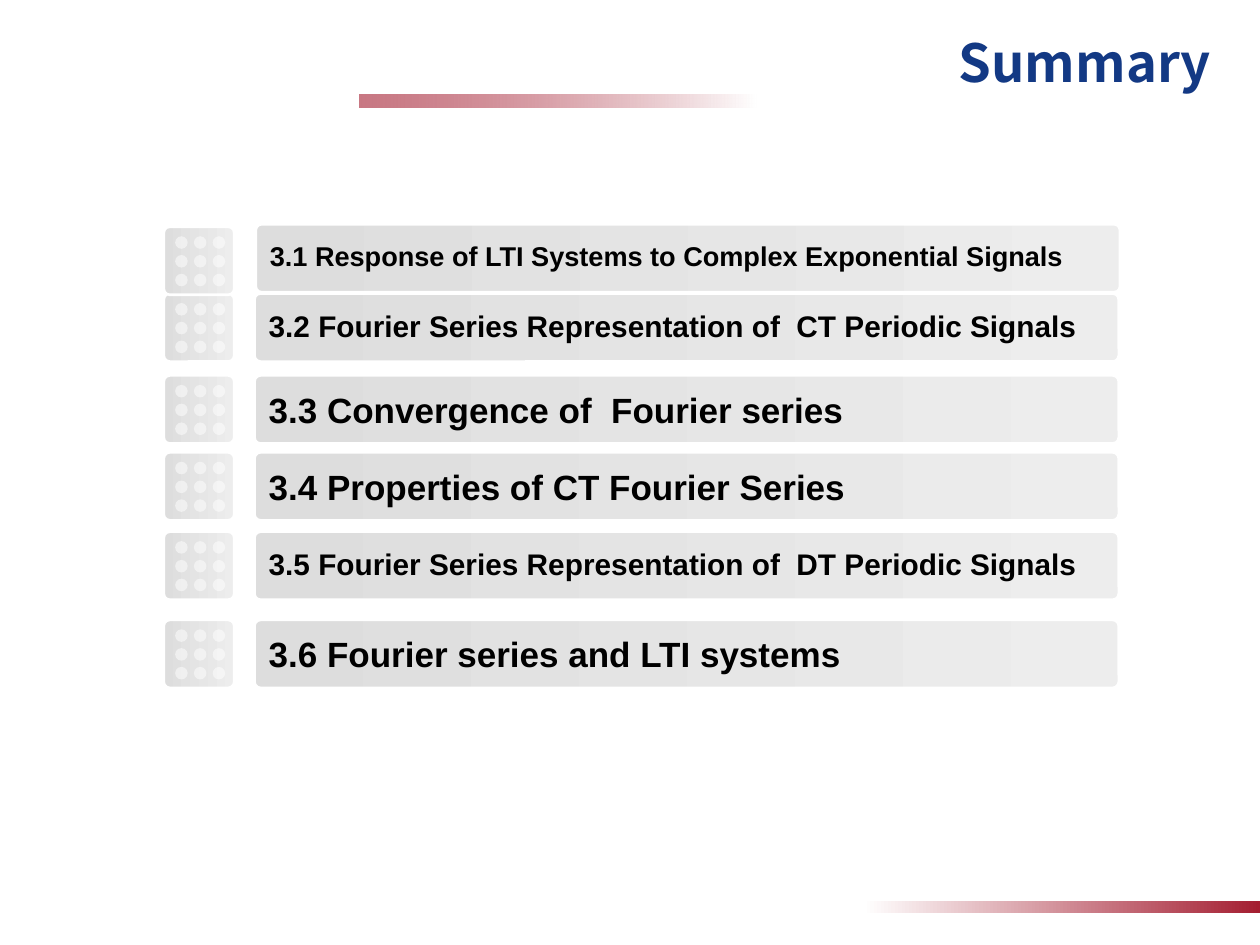
from itertools import product

from lxml.etree import SubElement
from pptx import Presentation
from pptx.dml.color import RGBColor
from pptx.enum.shapes import MSO_SHAPE
from pptx.enum.text import MSO_ANCHOR, PP_ALIGN
from pptx.oxml.ns import qn
from pptx.util import Inches, Pt

COLORS = {"title": "133984", "accent": "A41E31", "white": "FFFFFF",
          "panel_start": "DDDDDD", "panel_end": "EDEDED", "text": "000000"}
COLUMNS, ROWS = 100, 75
TILE_LEFT, TILE_WIDTH, PANEL_WIDTH, PANEL_HEIGHT = 13, 5.6, 68.6, 5.4
DOT_SIZE, DOT_STEP, DOT_INSET = 1, 1.49, (0.9, 0.75)
TOPICS = [
    ("3.6 Fourier series and LTI systems", 20, 1, 49.2, 20.2, 49.2),
    ("3.5 Fourier Series Representation of  DT Periodic Signals", 17, 0.9, 42.2, 20.2, 42.2),
    ("3.4 Properties of CT Fourier Series", 20, 1, 35.9, 20.2, 35.9),
    ("3.3 Convergence of  Fourier series", 20, 1, 29.8, 20.2, 29.8),
    ("3.2 Fourier Series Representation of  CT Periodic Signals", 17, 0.9, 23.3, 20.2, 23.3),
    ("3.1 Response of LTI Systems to Complex Exponential Signals", 15.5, 0.8, 18, 20.3, 17.8),
]


class SummarySlide:
    """Holds the style and the current page, and draws each kind of element."""

    def __init__(self, deck):
        self.column = deck.slide_width / COLUMNS
        self.row = deck.slide_height / ROWS
        self.page = deck.slides.add_slide(deck.slide_layouts[6])

    def place(self, left, top, width, height):
        return (round(left * self.column), round(top * self.row),
                round(width * self.column), round(height * self.row))

    def color(self, name):
        return RGBColor.from_string(COLORS[name])

    def shape(self, parent, kind, area):
        shape = parent.add_shape(kind, *self.place(*area))
        shape.shadow.inherit = False
        shape.line.fill.background()
        return shape

    def gradient(self, shape, *names):
        shape.fill.gradient()
        shape.fill.gradient_angle = 0
        for stop, name in zip(shape.fill.gradient_stops, names):
            stop.color.rgb = self.color(name)

    def opacity(self, shape, percent):
        color = next(shape.element.iter(qn("a:srgbClr")))
        SubElement(color, qn("a:alpha")).set("val", str(percent * 1000))

    def bar(self, area, *names):
        bar = self.shape(self.page.shapes, MSO_SHAPE.RECTANGLE, area)
        self.gradient(bar, *names)
        return bar

    def panel(self, area):
        panel = self.shape(self.page.shapes, MSO_SHAPE.ROUNDED_RECTANGLE, area)
        panel.adjustments[0] = 0.09
        self.gradient(panel, "panel_start", "panel_end")
        panel.line.color.rgb = self.color("white")
        panel.line.width = Pt(1.5)
        return panel

    def dots(self, left, top):
        group = self.page.shapes.add_group_shape()
        for row, column in product(range(3), repeat=2):
            area = (left + column * DOT_STEP, top + row * DOT_STEP, DOT_SIZE, DOT_SIZE)
            dot = self.shape(group.shapes, MSO_SHAPE.OVAL, area)
            dot.fill.solid()
            dot.fill.fore_color.rgb = self.color("white")
            self.opacity(dot, 50)

    def label(self, box, text, size, font, color, align, anchor, insets, spacing=1):
        frame = box.text_frame
        frame.word_wrap = True
        frame.vertical_anchor = anchor
        (frame.margin_left, frame.margin_top,
         frame.margin_right, frame.margin_bottom) = map(Inches, insets)
        para = frame.paragraphs[0]
        para.alignment = align
        if spacing != 1:
            para.line_spacing = spacing
        span = para.add_run()
        span.text = text
        span.font.size = Pt(size)
        span.font.name = font
        span.font.bold = True
        span.font.color.rgb = self.color(color)

    def title(self, text):
        box = self.page.shapes.add_textbox(*self.place(0, 2, 100, 7.5))
        self.label(box, text, 30, "Noto Sans CJK SC", "title", PP_ALIGN.RIGHT,
                   MSO_ANCHOR.TOP, (1.97, 0.04, 0.39, 0.05))

    def topic(self, text, size, spacing, tile_top, left, top):
        self.panel((TILE_LEFT, tile_top, TILE_WIDTH, PANEL_HEIGHT))
        panel = self.panel((left, top, PANEL_WIDTH, PANEL_HEIGHT))
        self.label(panel, text, size, "Arial", "text", PP_ALIGN.LEFT,
                   MSO_ANCHOR.MIDDLE, (0.1, 0.05, 0.1, 0.05), spacing)
        self.dots(TILE_LEFT + DOT_INSET[0], tile_top + DOT_INSET[1])


def main():
    deck = Presentation()
    deck.slide_width, deck.slide_height = Inches(10), Inches(7.5)
    slide = SummarySlide(deck)
    top_bar = slide.bar((28.5, 7.5, 31.5, 1), "accent", "white")
    slide.opacity(top_bar, 60)
    slide.bar((68.5, 71.5, 31.5, 1), "white", "accent")
    slide.title("Summary")
    for topic in TOPICS:
        slide.topic(*topic)
    deck.save("out.pptx")


if __name__ == "__main__":
    main()
